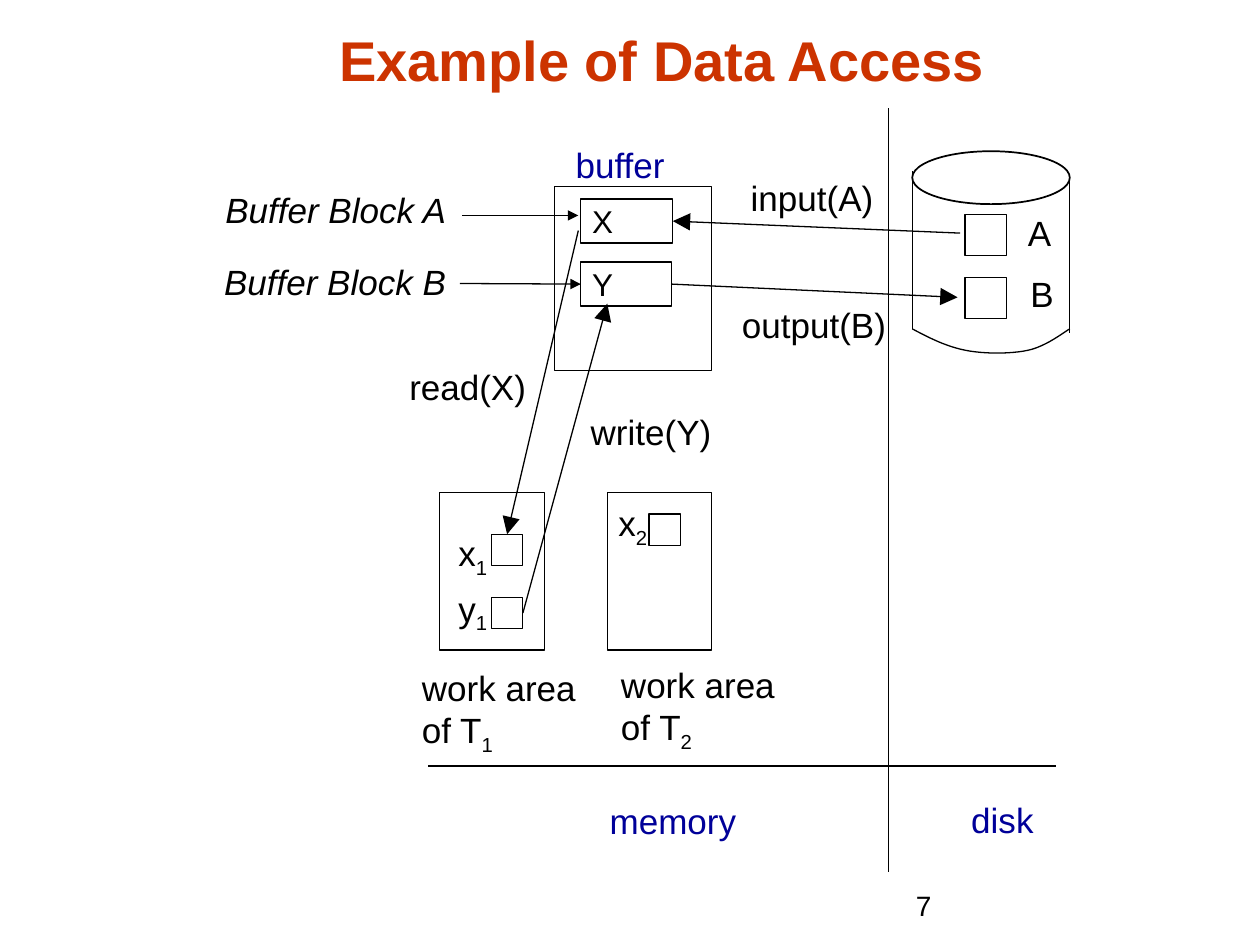
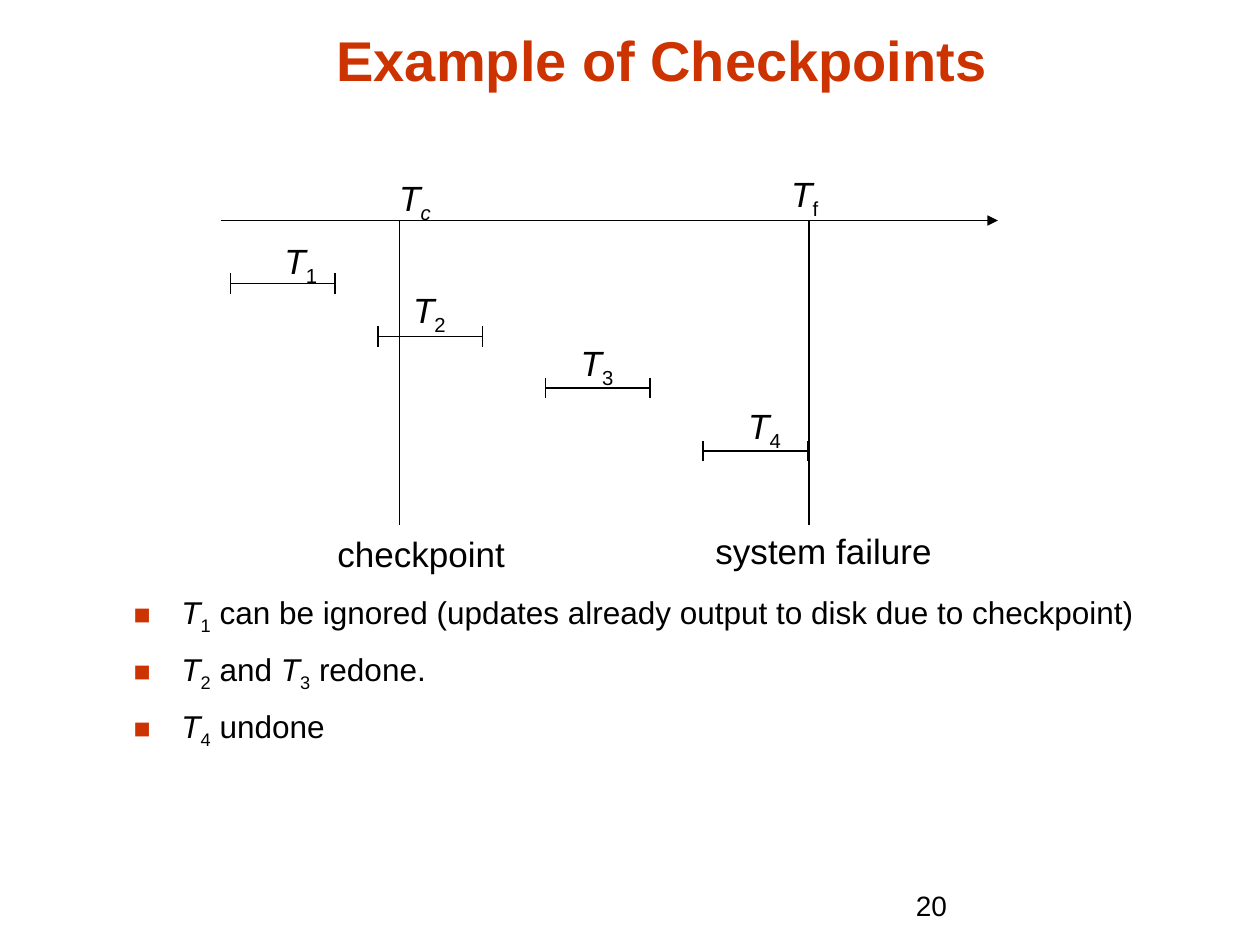
from dataclasses import dataclass

from lxml.etree import SubElement
from pptx import Presentation
from pptx.dml.color import RGBColor
from pptx.enum.shapes import MSO_CONNECTOR, MSO_SHAPE
from pptx.enum.text import MSO_ANCHOR, MSO_AUTO_SIZE, PP_ALIGN
from pptx.oxml.ns import qn
from pptx.util import Inches, Pt

TOP, LEFT, BOTTOM, RIGHT = range(4)


@dataclass(frozen=True)
class Theme:
    """Fonts, colours, type sizes and line width of the deck."""

    font: str = "Arial"
    accent: str = "CC3300"
    region: str = "000099"
    ink: str = "000000"
    title: int = 32
    label: int = 20
    body: int = 18
    number: int = 16
    line: float = 0.75


@dataclass(frozen=True)
class Span:
    """A piece of text with its own slant and baseline."""

    text: str
    italic: bool = False
    low: bool = False


THEME = Theme()


def indexed(letter, index, italic=False, italic_index=False):
    """Return a letter followed by its subscript."""
    return [Span(letter, italic), Span(index, italic_index, low=True)]


def write(para, spans, size, color=THEME.ink, bold=False):
    """Add spans to a paragraph, run by run."""
    for span in [Span(spans)] if isinstance(spans, str) else spans:
        run = para.add_run()
        run.text = span.text
        run.font.name = THEME.font
        run.font.size = Pt(size)
        run.font.bold = bold
        run.font.italic = span.italic
        run.font.color.rgb = RGBColor.from_string(color)
        if span.low:
            run._r.get_or_add_rPr().set("baseline", "-25000")


def place(shape, left, top, width, height):
    """Move and size a placeholder."""
    shape.left, shape.top = Inches(left), Inches(top)
    shape.width, shape.height = Inches(width), Inches(height)


def add_page(deck, layout, title, number):
    """Add a page with its title and page number."""
    page = deck.slides.add_slide(deck.slide_layouts.get_by_name(layout))
    place(page.shapes.title, 0.84, 0.12, 8.83, 0.67)
    frame = page.shapes.title.text_frame
    frame.auto_size = MSO_AUTO_SIZE.NONE
    frame.vertical_anchor = MSO_ANCHOR.BOTTOM
    frame.paragraphs[0].alignment = PP_ALIGN.CENTER
    write(frame.paragraphs[0], title, THEME.title, THEME.accent, bold=True)
    box = page.shapes.add_textbox(Inches(7.17), Inches(7), Inches(2.08), Inches(0.5))
    box.text_frame.word_wrap = True
    write(box.text_frame.paragraphs[0], number, THEME.number)
    return page


def add_label(page, left, top, width, *lines, color=THEME.ink, height=0.44):
    """Add a text box with one paragraph for each line."""
    box = page.shapes.add_textbox(Inches(left), Inches(top), Inches(width), Inches(height))
    frame = box.text_frame
    frame.word_wrap = False
    frame.auto_size = MSO_AUTO_SIZE.SHAPE_TO_FIT_TEXT
    frame.margin_right = 0
    for position, spans in enumerate(lines):
        para = frame.add_paragraph() if position else frame.paragraphs[0]
        write(para, spans, THEME.label, color)


def outline(shape, weight=THEME.line):
    """Leave a shape unfilled with a thin dark outline."""
    shape.shadow.inherit = False
    shape.fill.background()
    shape.line.color.rgb = RGBColor.from_string(THEME.ink)
    shape.line.width = Pt(weight)


def add_box(page, left, top, width, height, text=None):
    """Add an outlined rectangle, with text at its left if given."""
    box = page.shapes.add_shape(
        MSO_SHAPE.RECTANGLE, Inches(left), Inches(top), Inches(width), Inches(height))
    outline(box)
    if text:
        frame = box.text_frame
        frame.margin_left = Inches(0.09)
        frame.vertical_anchor = MSO_ANCHOR.MIDDLE
        frame.paragraphs[0].alignment = PP_ALIGN.LEFT
        write(frame.paragraphs[0], text, THEME.body)
    return box


def add_line(page, start, end, head=None):
    """Add a straight line, with an arrowhead of the given size at its end."""
    line = page.shapes.add_connector(
        MSO_CONNECTOR.STRAIGHT, *(Inches(value) for value in (*start, *end)))
    line.line.color.rgb = RGBColor.from_string(THEME.ink)
    line.line.width = Pt(THEME.line)
    properties = line._element.spPr
    if head:
        SubElement(properties.find(qn("a:ln")), qn("a:tailEnd"), type="triangle", w=head, len=head)
    SubElement(properties, qn("a:effectLst"))
    return line


def curve_points(start, curves, steps=12):
    """Return points, as lengths, along a chain of cubic curves."""
    points = []
    for first, second, end in curves:
        for step in range(1, steps + 1):
            t = step / steps
            weights = ((1 - t) ** 3, 3 * t * (1 - t) ** 2, 3 * t * t * (1 - t), t ** 3)
            corners = (start, first, second, end)
            points.append(tuple(
                Inches(sum(weight * corner[axis] for weight, corner in zip(weights, corners)))
                for axis in (0, 1)))
        start = end
    return points


def add_cylinder(page):
    """Draw the disk from an ellipse, two sides and a curved base."""
    lid = page.shapes.add_shape(
        MSO_SHAPE.OVAL, Inches(7.24), Inches(1.2), Inches(1.25), Inches(0.42))
    outline(lid, 1)
    for x, top in ((7.24, 1.36), (8.49, 1.39)):
        add_line(page, (x, top), (x, top + 1.25))
    start = (7.24, 2.61)
    curves = [
        ((7.37, 2.68), (7.51, 2.75), (7.66, 2.78)),
        ((7.81, 2.81), (8.02, 2.81), (8.16, 2.78)),
        ((8.3, 2.75), (8.44, 2.64), (8.49, 2.61)),
    ]
    builder = page.shapes.build_freeform(*(Inches(value) for value in start))
    builder.add_line_segments(curve_points(start, curves), close=False)
    outline(builder.convert_to_shape())


def add_bullets(page, items):
    """Fill the body placeholder with square bullets."""
    body = page.placeholders[1]
    place(body, 0.96, 4.66, 9.04, 2.19)
    frame = body.text_frame
    frame.auto_size = MSO_AUTO_SIZE.NONE
    for position, spans in enumerate(items):
        para = frame.add_paragraph() if position else frame.paragraphs[0]
        properties = para._p.get_or_add_pPr()
        properties.set("marL", str(Inches(0.38)))
        properties.set("indent", str(-Inches(0.38)))
        SubElement(SubElement(properties, qn("a:buClr")), qn("a:srgbClr"), val=THEME.accent)
        SubElement(properties, qn("a:buSzPct"), val="90000")
        SubElement(properties, qn("a:buFont"), typeface=THEME.font)
        SubElement(properties, qn("a:buChar"), char="■")
        para.space_before = Pt(7.9 if position else 0)
        write(para, spans, THEME.body)


def add_data_access(deck):
    """Show blocks moving between disk, buffer and work areas."""
    page = add_page(deck, "Title Only", "Example of Data Access", "7")
    add_box(page, 4.4, 1.48, 1.25, 1.46)
    block_x = add_box(page, 4.61, 1.58, 0.73, 0.35, "X")
    block_y = add_box(page, 4.61, 2.08, 0.72, 0.35, "Y")
    add_cylinder(page)
    for top in (1.7, 2.2):
        add_box(page, 7.66, top, 0.33, 0.33)
    for left in (3.49, 4.82):
        add_box(page, left, 3.91, 0.83, 1.25)
    local_x1, local_y1, _ = [
        add_box(page, left, top, 0.25, 0.25)
        for left, top in ((3.9, 4.24), (3.9, 4.74), (5.15, 4.08))]

    add_line(page, (3.4, 6.08), (8.38, 6.08))
    add_line(page, (7.05, 0.86), (7.05, 6.92))
    add_line(page, (3.67, 1.71), (4.59, 1.71), "med")
    add_line(page, (3.65, 2.25), (4.61, 2.25), "med").end_connect(block_y, LEFT)
    add_line(page, (7.62, 1.85), (5.34, 1.75), "lg").end_connect(block_x, RIGHT)
    add_line(page, (5.33, 2.25), (7.6, 2.36), "lg").begin_connect(block_y, RIGHT)
    add_line(page, (4.59, 1.83), (4.02, 4.24), "lg").end_connect(local_x1, TOP)
    add_line(page, (4.15, 4.87), (4.82, 2.41), "lg").begin_connect(local_y1, RIGHT)

    for left, top, width, text in (
        (8.06, 1.63, 0.38, "A"),
        (8.08, 2.11, 0.38, "B"),
        (5.86, 1.35, 1.17, "input(A)"),
        (5.79, 2.36, 1.42, "output(B)"),
        (3.15, 2.85, 1.13, "read(X)"),
        (4.59, 3.21, 1.16, "write(Y)"),
        (1.69, 1.45, 2.04, [Span("Buffer Block A", italic=True)]),
        (1.68, 2.02, 1.96, [Span("Buffer Block B", italic=True)]),
    ):
        add_label(page, left, top, width, text)
    for left, top, width, region in (
        (4.47, 1.09, 0.91, "buffer"),
        (4.74, 6.3, 1.2, "memory"),
        (7.61, 6.29, 0.69, "disk"),
    ):
        add_label(page, left, top, width, region, color=THEME.region)
    for left, top, letter, index in (
        (3.54, 4.17, "x", "1"), (3.54, 4.61, "y", "1"), (4.81, 3.93, "x", "2"),
    ):
        add_label(page, left, top, 0.43, indexed(letter, index), height=0.48)
    for left, top, index in ((3.25, 5.24, "1"), (4.83, 5.22, "2")):
        add_label(page, left, top, 1.42, "work area", indexed("of T", index), height=0.82)


def add_transaction(page, left, y, label_left, label_top, index):
    """Draw a transaction as a span with end ticks and a label."""
    right = left + 0.83
    add_line(page, (left, y), (right, y))
    for x in (left, right):
        add_line(page, (x, y - 0.08), (x, y + 0.08))
    add_label(page, label_left, label_top, 0.46, indexed("T", index, italic=True), height=0.48)


def add_checkpoints(deck):
    """Show transactions on a time line and how each is recovered."""
    page = add_page(deck, "Title and Content", "Example of Checkpoints", "20")
    add_bullets(page, [
        [*indexed("T", "1", italic=True),
         Span(" can be ignored (updates already output to disk due to checkpoint)")],
        [*indexed("T", "2", italic=True), Span(" and "),
         *indexed("T", "3", italic=True), Span(" redone.")],
        [*indexed("T", "4", italic=True), Span(" undone")],
    ])
    add_line(page, (1.75, 1.75), (7.92, 1.75), "med")
    for x in (3.17, 6.42):
        add_line(page, (x, 1.75), (x, 4.17))
    add_label(page, 3.07, 1.35, 0.45, indexed("T", "c", True, True), height=0.48)
    add_label(page, 6.18, 1.32, 0.41, indexed("T", "f", True), height=0.48)
    add_transaction(page, 1.83, 2.25, 2.16, 1.85, "1")
    add_transaction(page, 3, 2.67, 3.18, 2.24, "2")
    add_transaction(page, 4.33, 3.08, 4.51, 2.66, "3")
    add_transaction(page, 5.58, 3.58, 5.84, 3.16, "4")
    add_label(page, 2.58, 4.18, 1.53, "checkpoint")
    add_label(page, 5.58, 4.15, 1.91, "system failure")


def main():
    """Build and save the deck."""
    deck = Presentation()
    deck.slide_width, deck.slide_height = Inches(10), Inches(7.5)
    add_data_access(deck)
    add_checkpoints(deck)
    deck.save("out.pptx")


if __name__ == "__main__":
    main()
